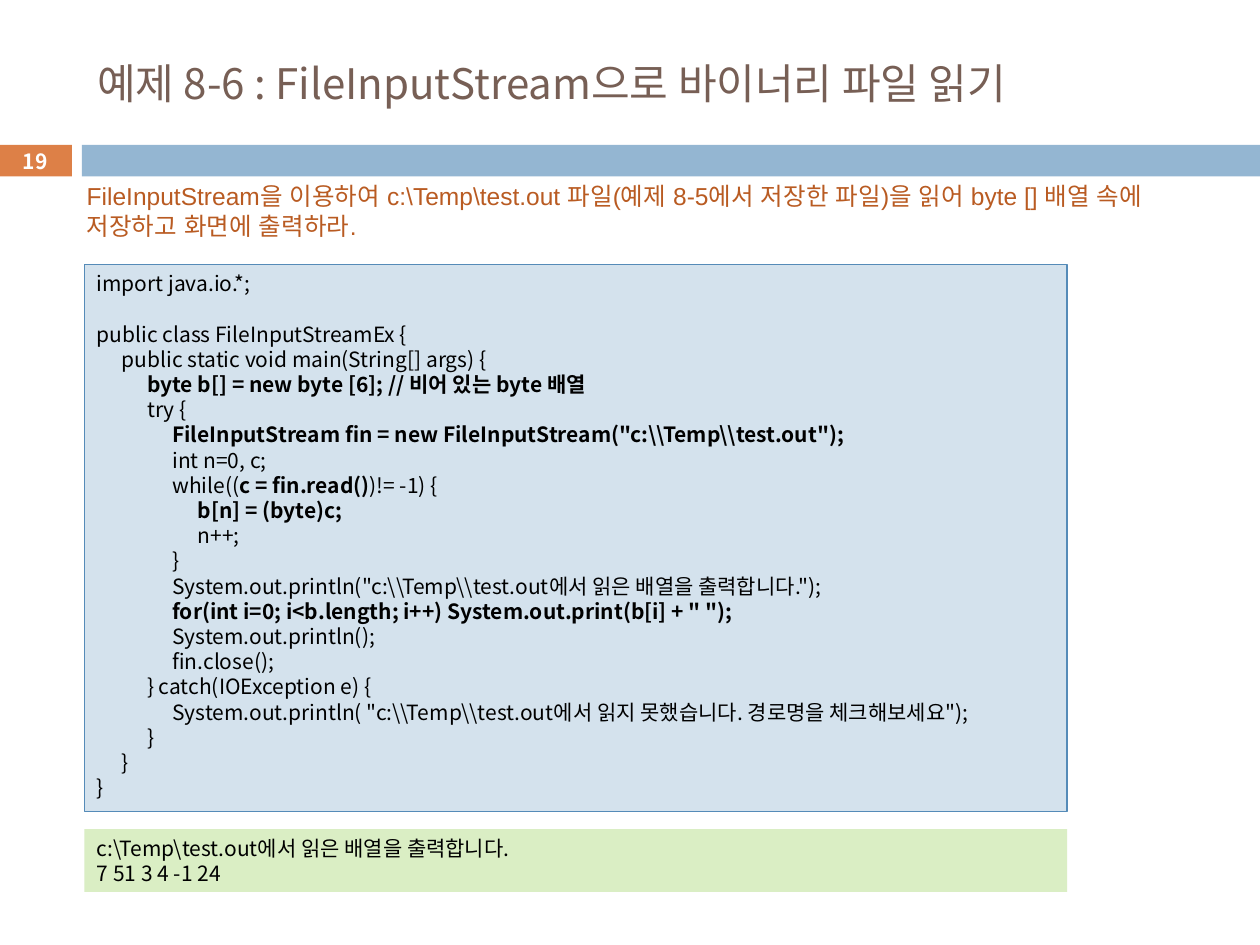
from dataclasses import dataclass

from lxml.etree import SubElement
from pptx import Presentation
from pptx.dml.color import RGBColor
from pptx.enum.shapes import MSO_SHAPE
from pptx.enum.text import MSO_ANCHOR, MSO_AUTO_SIZE, PP_ALIGN
from pptx.oxml.ns import qn
from pptx.util import Inches, Pt


@dataclass(frozen=True)
class Theme:
    font: str = "Noto Sans CJK KR"
    intro_font: str = "Arial"
    title: str = "775F55"
    accent: str = "DD8047"
    band: str = "94B6D2"
    intro: str = "B95B22"
    code_fill: str = "D4E2ED"
    code_line: str = "558BB8"
    output_fill: str = "DAEEC4"
    ink: str = "000000"
    white: str = "FFFFFF"
    title_size: float = 24
    intro_size: float = 14
    code_size: float = 12
    line_pitch: float = 14.4


THEME = Theme()
INDENT = Inches(0.2)
BOLD_MARK = "**"

TITLE = "예제 8-6 : FileInputStream으로 바이너리 파일 읽기"
INTRO = (r"FileInputStream을 이용하여 c:\Temp\test.out 파일(예제 8-5에서 저장한 파일)을 읽어 "
         "byte [] 배열 속에 저장하고 화면에 출력하라.")
IMPORTS = [(0, "import java.io.*;")]
CLASS_BODY = [
    (0, "public class FileInputStreamEx {"),
    (1, "public static void main(String[] args) {"),
    (2, "**byte b[] = new byte [6]; // 비어 있는 byte 배열**"),
    (2, "try {"),
    (3, r'**FileInputStream fin = new FileInputStream("c:\\Temp\\test.out");**'),
    (3, "int n=0, c;"),
    (3, "while((**c = fin.read()**)!= -1) {"),
    (4, "**b[n] = (byte)c;**"),
    (4, "n++;"),
    (3, "}"),
    (3, r'System.out.println("c:\\Temp\\test.out에서 읽은 배열을 출력합니다.");'),
    (3, '**for(int i=0; i<b.length; i++) System.out.print(b[i] + " ");**'),
    (3, "System.out.println();"),
    (3, "fin.close();"),
    (2, "} catch(IOException e) {"),
    (3, r'System.out.println( "c:\\Temp\\test.out에서 읽지 못했습니다. 경로명을 체크해보세요");'),
    (2, "}"),
    (1, "}"),
    (0, "}"),
]
OUTPUT = [(0, r"c:\Temp\test.out에서 읽은 배열을 출력합니다."), (0, "7 51 3 4 -1 24")]


def inches(*lengths):
    return [Inches(length) for length in lengths]


def style(paragraph, size, color, face=THEME.font, bold=None, align=PP_ALIGN.LEFT):
    paragraph.alignment = align
    font = paragraph.font
    font.size, font.bold, font.name = Pt(size), bold, face
    font.color.rgb = RGBColor.from_string(color)
    defaults = paragraph._p.pPr.find(qn("a:defRPr"))
    SubElement(defaults, qn("a:ea")).set("typeface", face)


def add_panel(slide, box, fill, line=None):
    panel = slide.shapes.add_shape(MSO_SHAPE.RECTANGLE, *inches(*box))
    panel.shadow.inherit = False
    panel.fill.solid()
    panel.fill.fore_color.rgb = RGBColor.from_string(fill)
    if line:
        panel.line.color.rgb = RGBColor.from_string(line)
        panel.line.width = Pt(0.75)
    else:
        panel.line.fill.background()
    return panel


def add_title(slide, box):
    title = slide.shapes.title
    title.left, title.top, title.width, title.height = inches(*box)
    frame = title.text_frame
    frame.text = TITLE
    frame.auto_size = MSO_AUTO_SIZE.NONE
    frame.vertical_anchor = MSO_ANCHOR.MIDDLE
    style(frame.paragraphs[0], THEME.title_size, THEME.title)


def add_header_band(slide, box, number_width, gap):
    left, top, width, height = box
    band_left = left + number_width + gap
    number_box = add_panel(slide, (left, top, number_width, height), THEME.accent)
    add_panel(slide, (band_left, top, width - number_width - gap, height), THEME.band)
    frame = number_box.text_frame
    frame.text = "19"
    frame.margin_top = frame.margin_bottom = 0
    frame.vertical_anchor = MSO_ANCHOR.MIDDLE
    style(frame.paragraphs[0], THEME.code_size, THEME.white, bold=True, align=PP_ALIGN.CENTER)


def add_intro(slide, box):
    frame = slide.shapes.add_textbox(*inches(*box)).text_frame
    frame.word_wrap = True
    frame.text = INTRO
    style(frame.paragraphs[0], THEME.intro_size, THEME.intro, THEME.intro_font)


def add_listing(slide, box, blocks, fill, line=None):
    frame = add_panel(slide, box, fill, line).text_frame
    frame.word_wrap = True
    frame.vertical_anchor = MSO_ANCHOR.TOP
    paragraph = frame.paragraphs[0]
    for block_index, block in enumerate(blocks):
        for line_index, (level, code) in enumerate(block):
            if block_index or line_index:
                paragraph = frame.add_paragraph()
            style(paragraph, THEME.code_size, THEME.ink)
            paragraph.line_spacing = Pt(THEME.line_pitch)
            if block_index and not line_index:
                paragraph.space_before = Pt(THEME.line_pitch)
            paragraph._p.pPr.set("marL", str(level * INDENT))
            paragraph._p.pPr.set("indent", "0")
            for part_index, part in enumerate(code.split(BOLD_MARK)):
                if part:
                    run = paragraph.add_run()
                    run.text = part
                    run.font.bold = part_index % 2 == 1


def main():
    deck = Presentation()
    deck.slide_width, deck.slide_height = inches(10, 7.5)
    slide = deck.slides.add_slide(deck.slide_layouts[5])
    add_header_band(slide, (-0.01, 1.15, 10.01, 0.25), number_width=0.58, gap=0.08)
    add_title(slide, (0.67, 0.25, 8.92, 0.82))
    add_intro(slide, (0.59, 1.39, 9.14, 0.57))
    add_listing(slide, (0.67, 2.1, 7.8, 4.34), [IMPORTS, CLASS_BODY],
                THEME.code_fill, THEME.code_line)
    add_listing(slide, (0.67, 6.58, 7.8, 0.5), [OUTPUT], THEME.output_fill)
    deck.save("out.pptx")


if __name__ == "__main__":
    main()
